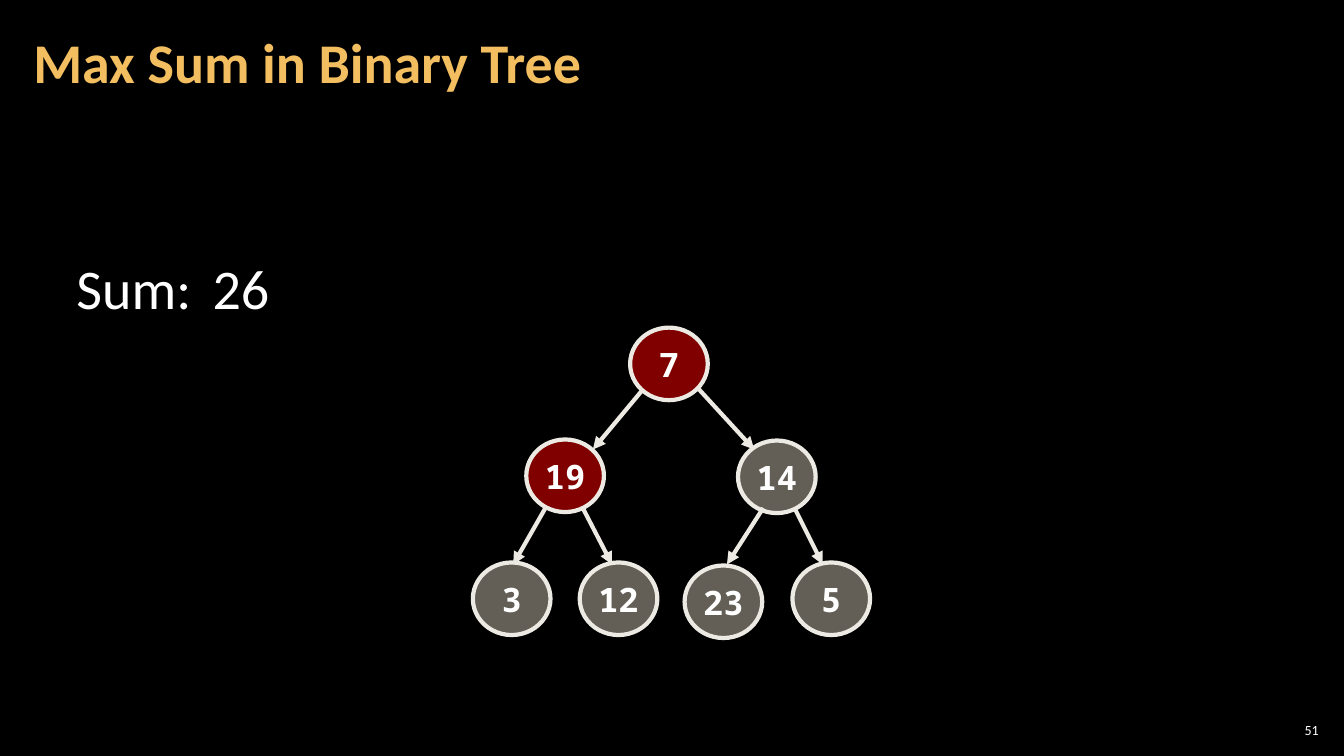
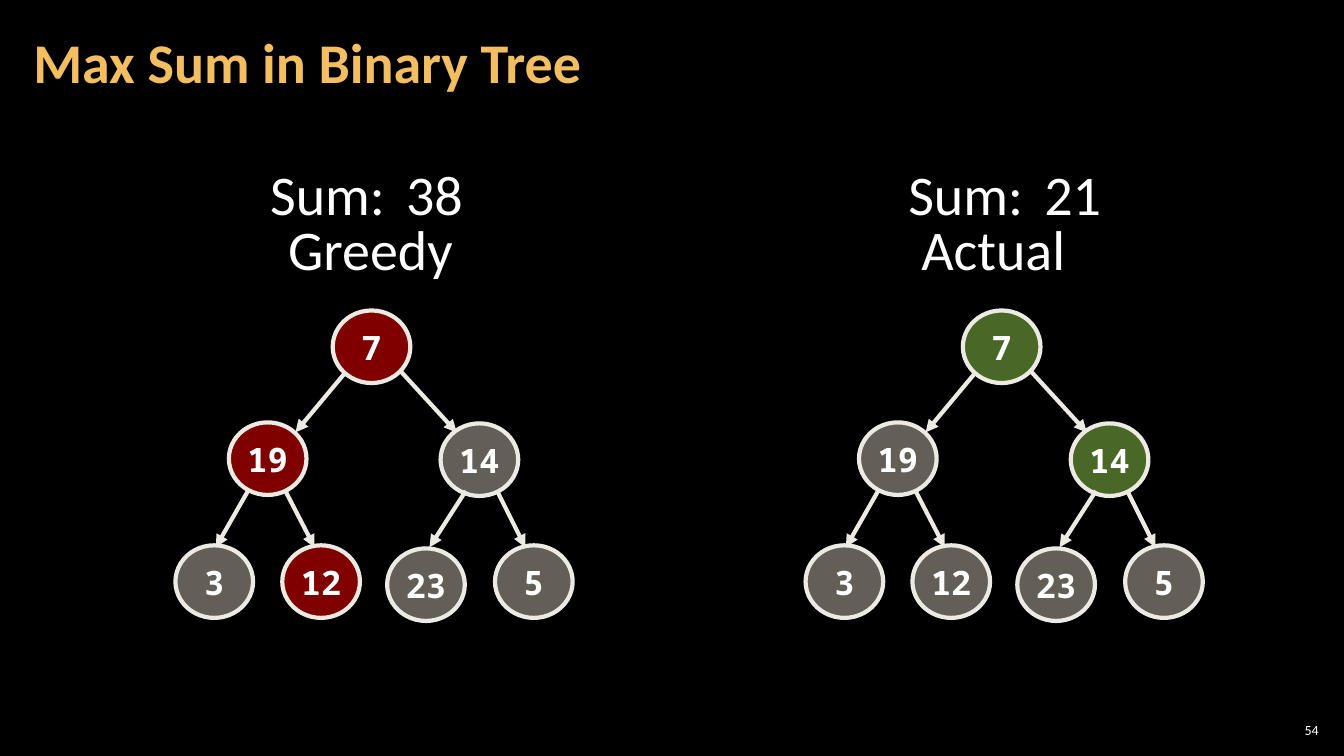
"""Build two slides that compare greedy and actual paths in a binary tree."""
from dataclasses import dataclass

from lxml import etree
from pptx import Presentation
from pptx.dml import color
from pptx.enum import shapes, text
from pptx.oxml import ns
from pptx.util import Inches, Pt

COLORS = {
    "background": "000000",
    "title": "F3BE60",
    "text": "FFFFFF",
    "outline": "ECEAE3",
    "plain": "C7BFAC",
    "greedy": "FF0000",
    "actual": "92D050",
}
BODY_FONT = "Calibri"
NODE_FONT = "Noto Sans Mono"
NODE_WIDTH, NODE_HEIGHT = 0.77, 0.72
LINE_WIDTH = 3
LABEL_HEIGHT = 0.77
SUM_WIDTH = 1.35


@dataclass(frozen=True)
class Node:
    label: str
    x: float
    y: float


@dataclass(frozen=True)
class Edge:
    x1: float
    y1: float
    x2: float
    y2: float


@dataclass(frozen=True)
class Label:
    text: str
    x: float
    y: float
    width: float


@dataclass(frozen=True)
class Tree:
    x: float
    y: float
    path_labels: tuple[str, ...]
    path_color: str


@dataclass(frozen=True)
class SlideContent:
    number: str
    labels: tuple[Label, ...]
    trees: tuple[Tree, ...]


NODES = (
    Node("7", 0, 0),
    Node("14", 1.07, 1.12),
    Node("19", -1.03, 1.11),
    Node("23", 0.54, 2.36),
    Node("5", 1.61, 2.33),
    Node("12", -0.5, 2.33),
    Node("3", -1.56, 2.33),
)
EDGES = (
    Edge(0.13, 0.61, -0.37, 1.21),
    Edge(0.68, 0.61, 1.23, 1.21),
    Edge(-0.84, 1.79, -1.16, 2.35),
    Edge(-0.47, 1.79, -0.18, 2.35),
    Edge(1.32, 1.79, 0.96, 2.35),
    Edge(1.63, 1.79, 1.91, 2.35),
)


def sum_labels(x: float, y: float, value: str) -> tuple[Label, ...]:
    return (
        Label("Sum:", x, y, SUM_WIDTH),
        Label(value, x + SUM_WIDTH, y, 0.77),
    )


SLIDES = (
    SlideContent(
        "51",
        sum_labels(0.66, 2.47, "26"),
        (Tree(6.25, 3.25, ("7", "19"), "greedy"),),
    ),
    SlideContent(
        "54",
        (
            *sum_labels(2.58, 1.53, "38"),
            *sum_labels(8.91, 1.53, "21"),
            Label("Greedy", 2.76, 2.08, 1.85),
            Label("Actual", 9.04, 2.08, 1.64),
        ),
        (
            Tree(3.3, 3.08, ("7", "19", "12"), "greedy"),
            Tree(9.55, 3.08, ("7", "14"), "actual"),
        ),
    ),
)


def rgb(name: str) -> color.RGBColor:
    return color.RGBColor.from_string(COLORS[name])


def write(sp, content: str, *, size: float = 40, fill: str = "text",
          font: str = BODY_FONT, bold: bool = False, wrap: bool = False,
          align=text.PP_ALIGN.LEFT, anchor=text.MSO_ANCHOR.MIDDLE,
          spacing: float = 1.0, insets: tuple[float, float] = (0.1, 0.05)) -> None:
    tf = sp.text_frame
    tf.word_wrap = wrap
    tf.vertical_anchor = anchor
    tf.margin_left = tf.margin_right = Inches(insets[0])
    tf.margin_top = tf.margin_bottom = Inches(insets[1])
    p = tf.paragraphs[0]
    p.alignment = align
    p.line_spacing = spacing
    r = p.add_run()
    r.text = content
    r.font.name = font
    r.font.size = Pt(size)
    r.font.bold = bold
    r.font.color.rgb = rgb(fill)


def add_label(s, label: Label) -> None:
    sp = s.shapes.add_textbox(Inches(label.x), Inches(label.y),
                              Inches(label.width), Inches(LABEL_HEIGHT))
    write(sp, label.text, anchor=text.MSO_ANCHOR.TOP)
    sp.text_frame.auto_size = text.MSO_AUTO_SIZE.SHAPE_TO_FIT_TEXT


def add_node(group, node: Node, tree: Tree) -> None:
    sp = group.shapes.add_shape(
        shapes.MSO_SHAPE.OVAL, Inches(tree.x + node.x), Inches(tree.y + node.y),
        Inches(NODE_WIDTH), Inches(NODE_HEIGHT))
    sp.shadow.inherit = False
    sp.fill.solid()
    on_path = node.label in tree.path_labels
    sp.fill.fore_color.rgb = rgb(tree.path_color if on_path else "plain")
    fill_color = sp.fill._xPr.find(ns.qn("a:solidFill"))[0]
    etree.SubElement(fill_color, ns.qn("a:alpha"), val="50000")
    sp.line.color.rgb = rgb("outline")
    sp.line.width = Pt(LINE_WIDTH)
    write(sp, node.label, size=24, font=NODE_FONT, bold=True,
          align=text.PP_ALIGN.CENTER)


def add_edge(group, edge: Edge, tree: Tree) -> None:
    arrow = group.shapes.add_connector(
        shapes.MSO_CONNECTOR.STRAIGHT,
        Inches(tree.x + edge.x1), Inches(tree.y + edge.y1),
        Inches(tree.x + edge.x2), Inches(tree.y + edge.y2))
    arrow.line.color.rgb = rgb("outline")
    arrow.line.width = Pt(LINE_WIDTH)
    etree.SubElement(arrow.line._get_or_add_ln(), ns.qn("a:tailEnd"), type="triangle")
    etree.SubElement(arrow._element.spPr, ns.qn("a:effectLst"))


def add_tree(s, tree: Tree) -> None:
    group = s.shapes.add_group_shape()
    for node in NODES:
        add_node(group, node, tree)
    for edge in EDGES:
        add_edge(group, edge, tree)


def add_slide(prs, layout, content: SlideContent) -> None:
    s = prs.slides.add_slide(layout)
    write(s.shapes.title, "Max Sum in Binary Tree", fill="title", bold=True,
          wrap=True, spacing=0.9, insets=(0.12, 0.04))
    number = s.shapes.add_textbox(Inches(12.65), Inches(7.14), Inches(0.47), Inches(0.21))
    write(number, content.number, size=10, wrap=True,
          align=text.PP_ALIGN.RIGHT, insets=(0.04, 0.04))
    for label in content.labels:
        add_label(s, label)
    for tree in content.trees:
        add_tree(s, tree)


def main() -> None:
    prs = Presentation()
    prs.slide_width, prs.slide_height = Inches(13.33), Inches(7.5)
    background = prs.slide_master.background.fill
    background.solid()
    background.fore_color.rgb = rgb("background")
    layout = prs.slide_layouts.get_by_name("Title Only")
    title = layout.placeholders[0]
    title.left, title.top = Inches(0.21), Inches(0.04)
    title.width, title.height = Inches(10.47), Inches(1.21)
    for content in SLIDES:
        add_slide(prs, layout, content)
    prs.save("out.pptx")


if __name__ == "__main__":
    main()
